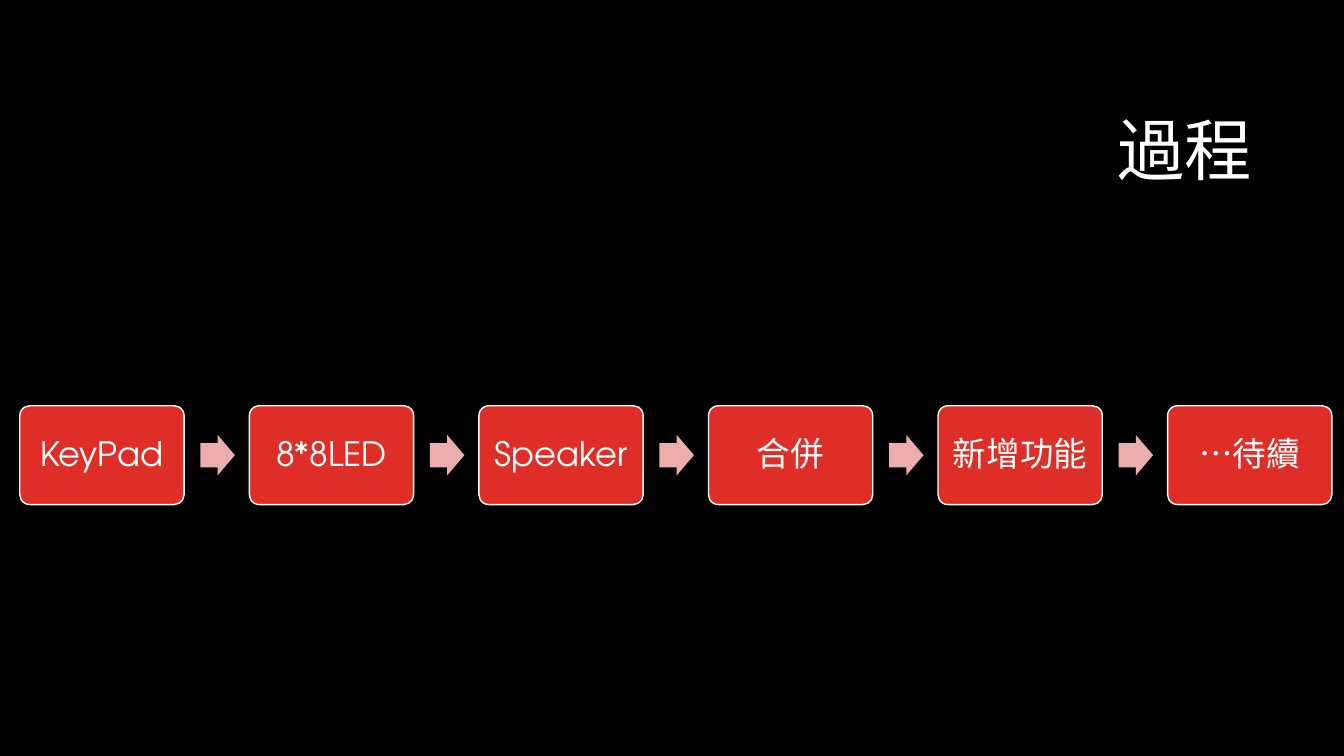
import pptx
import pptx.util
from pptx.dml.color import RGBColor
from pptx.enum.shapes import MSO_SHAPE
from pptx.enum.text import MSO_ANCHOR, PP_ALIGN
from pptx.oxml.ns import qn
from pptx.util import Cm

BLACK = RGBColor(0x00, 0x00, 0x00)
WHITE = RGBColor(0xFF, 0xFF, 0xFF)
RED = RGBColor(0xDF, 0x2E, 0x28)
PINK = RGBColor(0xEC, 0xAD, 0xAD)
LATIN_FONT = "TeX Gyre Adventor"
CHINESE_FONT = "Noto Sans CJK SC"

STEPS = ["KeyPad", "8*8LED", "Speaker", "合併", "新增功能", "…待續"]
FIRST_LEFT, STEP_PITCH = 0.5, 5.785
BOX_WIDTH, BOX_HEIGHT = 4.14, 2.49
ARROW_WIDTH, ARROW_HEIGHT = 0.87, 1.02
ARROW_OFFSET = 4.55
MIDDLE = 11.47


def format_text(shape, size, alignment, latin_font):
    shape.text_frame.vertical_anchor = MSO_ANCHOR.MIDDLE
    shape.text_frame.word_wrap = True
    paragraph = shape.text_frame.paragraphs[0]
    paragraph.alignment = alignment
    paragraph.line_spacing = 0.9
    font = paragraph.runs[0].font
    font.size = pptx.util.Pt(size)
    font.name = latin_font
    font.color.rgb = WHITE
    east_asian = font._element.makeelement(qn("a:ea"), {"typeface": CHINESE_FONT})
    font._element.find(qn("a:latin")).addnext(east_asian)


def add_filled_shape(kind, left, width, height, color):
    """Add a flat shape centred vertically on the row of steps."""
    shape = slide.shapes.add_shape(
        kind, Cm(left), Cm(MIDDLE - height / 2), Cm(width), Cm(height))
    shape.shadow.inherit = False
    shape.fill.solid()
    shape.fill.fore_color.rgb = color
    return shape


presentation = pptx.Presentation()
presentation.slide_width = Cm(33.87)
presentation.slide_height = Cm(19.05)
slide = presentation.slides.add_slide(presentation.slide_layouts[5])
slide.background.fill.solid()
slide.background.fill.fore_color.rgb = BLACK

title = slide.shapes.title
title.left, title.top, title.width, title.height = Cm(7.87), Cm(2.08), Cm(23.93), Cm(3.58)
title.text_frame.text = "過程"
format_text(title, 48, PP_ALIGN.RIGHT, CHINESE_FONT)

for index, step in enumerate(STEPS):
    left = FIRST_LEFT + index * STEP_PITCH
    box = add_filled_shape(MSO_SHAPE.ROUNDED_RECTANGLE, left, BOX_WIDTH, BOX_HEIGHT, RED)
    box.adjustments[0] = 0.1
    box.line.color.rgb = WHITE
    box.line.width = pptx.util.Pt(1)
    frame = box.text_frame
    frame.text = step
    frame.margin_left = frame.margin_right = Cm(0.25)
    frame.margin_top = frame.margin_bottom = Cm(0.25)
    format_text(box, 24, PP_ALIGN.CENTER, LATIN_FONT)

    if index < len(STEPS) - 1:
        arrow = add_filled_shape(
            MSO_SHAPE.RIGHT_ARROW, left + ARROW_OFFSET, ARROW_WIDTH, ARROW_HEIGHT, PINK)
        arrow.adjustments[0] = 0.6
        arrow.adjustments[1] = 0.5
        arrow.line.fill.background()

presentation.save("out.pptx")
